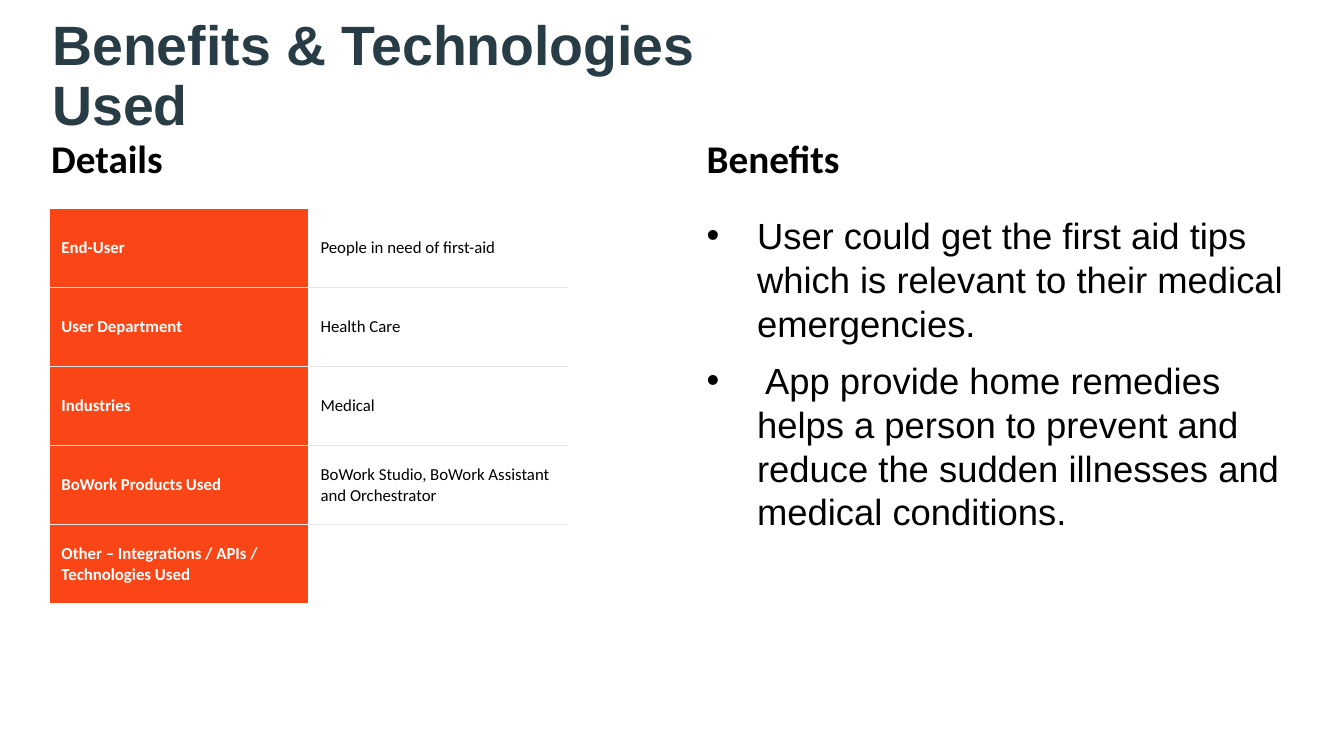
import pptx
import pptx.dml.color
import pptx.enum.text
import pptx.oxml
import pptx.oxml.ns
import pptx.util

Inches = pptx.util.Inches
Pt = pptx.util.Pt
RGBColor = pptx.dml.color.RGBColor
Anchor = pptx.enum.text.MSO_ANCHOR

SLATE = RGBColor(0x28, 0x3C, 0x46)
ORANGE = RGBColor(0xFA, 0x46, 0x16)
LIGHT_GRAY = RGBColor(0xE7, 0xE6, 0xE6)
BLACK = RGBColor(0, 0, 0)
WHITE = RGBColor(0xFF, 0xFF, 0xFF)

TITLE = "Benefits & Technologies Used"
HEADINGS = [("Details", 0.41), ("Benefits", 6.91)]
BENEFITS = [
    "User could get the first aid tips which is relevant to their medical emergencies.",
    " App provide home remedies helps a person to prevent and reduce the sudden illnesses and medical conditions.",
]
DETAILS = [
    ("End-User", "People in need of first-aid"),
    ("User Department", "Health Care"),
    ("Industries", "Medical"),
    ("BoWork Products Used", "BoWork Studio, BoWork Assistant and Orchestrator"),
    ("Other – Integrations / APIs / Technologies Used", ""),
]
COLUMN_WIDTH, ROW_HEIGHT = 2.57, 0.784


def write_text(text_frame, text, size, font="Calibri", color=BLACK, bold=False,
               line_spacing=None, space_before=0, bullet=False):
    paragraph = text_frame.paragraphs[0]
    if paragraph.runs:
        paragraph = text_frame.add_paragraph()
    paragraph.line_spacing = line_spacing
    paragraph.space_before = Pt(space_before)
    run = paragraph.add_run()
    run.text = text
    run.font.size = Pt(size)
    run.font.name = font
    run.font.bold = bold
    run.font.color.rgb = color
    if bullet:
        properties = paragraph._p.get_or_add_pPr()
        properties.set("marL", str(Inches(0.5)))
        properties.set("indent", str(-Inches(0.5)))
        namespace = pptx.oxml.ns.nsdecls("a")
        properties.append(pptx.oxml.parse_xml(f'<a:buFont {namespace} typeface="Arial"/>'))
        properties.append(pptx.oxml.parse_xml(f'<a:buChar {namespace} char="•"/>'))


def add_text_frame(slide, left, top, width, height, anchor=Anchor.TOP):
    box = slide.shapes.add_textbox(Inches(left), Inches(top), Inches(width), Inches(height))
    box.text_frame.word_wrap = True
    box.text_frame.vertical_anchor = anchor
    return box.text_frame


def add_border(cell, side):
    cell._tc.get_or_add_tcPr().insert(0, pptx.oxml.parse_xml(
        f'<a:{side} {pptx.oxml.ns.nsdecls("a")} w="{Pt(1)}"><a:solidFill>'
        f'<a:srgbClr val="{LIGHT_GRAY}"/></a:solidFill></a:{side}>'))


def add_details_table(slide):
    rows = len(DETAILS)
    table = slide.shapes.add_table(
        rows, 2, Inches(0.49), Inches(2.07),
        Inches(2 * COLUMN_WIDTH), Inches(rows * ROW_HEIGHT)).table
    table.first_row = False
    table.horz_banding = False
    for column in table.columns:
        column.width = Inches(COLUMN_WIDTH)
    for row_index, values in enumerate(DETAILS):
        for column_index, value in enumerate(values):
            is_label = column_index == 0
            cell = table.cell(row_index, column_index)
            cell.vertical_anchor = Anchor.MIDDLE
            cell.margin_left = cell.margin_right = Inches(0.12)
            cell.fill.solid()
            cell.fill.fore_color.rgb = ORANGE if is_label else WHITE
            write_text(cell.text_frame, value, 12,
                       color=WHITE if is_label else BLACK, bold=is_label)
            if row_index < rows - 1:
                add_border(cell, "lnB")
            if row_index > 0:
                add_border(cell, "lnT")


def main():
    presentation = pptx.Presentation()
    presentation.slide_width = Inches(13.33)
    presentation.slide_height = Inches(7.5)
    slide = presentation.slides.add_slide(presentation.slide_layouts[6])

    title_frame = add_text_frame(slide, 0.42, 0.39, 7.23, 0.75, Anchor.MIDDLE)
    write_text(title_frame, TITLE, 39.6, font="Arial", color=SLATE, bold=True, line_spacing=0.9)
    for heading, left in HEADINGS:
        heading_frame = add_text_frame(slide, left, 1.34, 6.01, 0.54)
        write_text(heading_frame, heading, 28, bold=True, line_spacing=0.9)

    benefits_frame = add_text_frame(slide, 6.91, 2.07, 6.02, 4.84)
    for index, benefit in enumerate(BENEFITS):
        write_text(benefits_frame, benefit, 26, font="Arial",
                   space_before=10 if index else 0, bullet=True)
    add_details_table(slide)
    presentation.save("out.pptx")


if __name__ == "__main__":
    main()
